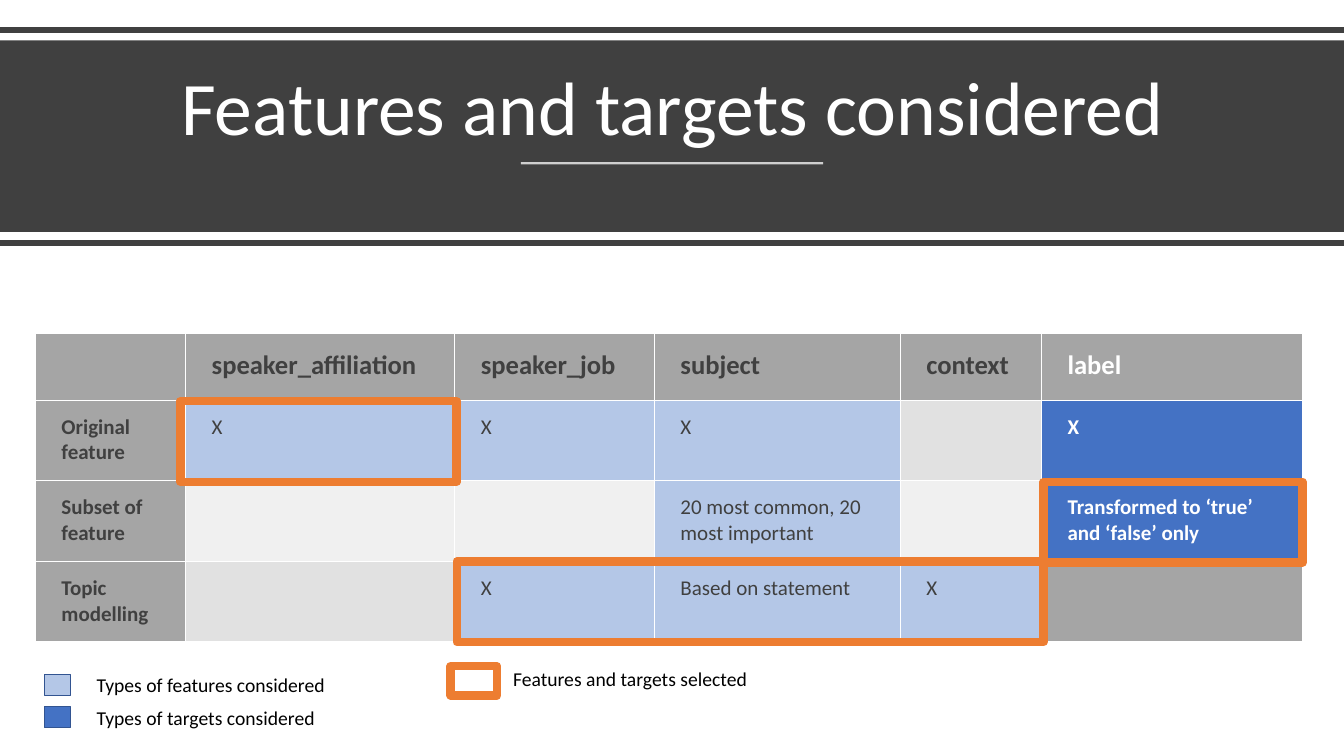
import pptx
import pptx.dml.color
import pptx.enum.shapes
import pptx.enum.text
import pptx.oxml.ns
import pptx.util
from lxml import etree

Inches = pptx.util.Inches
SHAPES = pptx.enum.shapes.MSO_SHAPE
DARK, WHITE, GREY, ORANGE = "404040", "FFFFFF", "A5A5A5", "ED7D31"
FEATURE, TARGET, SWATCH_LINE = "B4C7E7", "4472C4", "325491"
BANDS = ["E1E1E1", "F0F0F0"]
COLUMNS = [1.49, 2.67, 1.98, 2.44, 1.4, 2.59]
HEADER_HEIGHT, ROW_HEIGHT = 0.66, 0.8
ROWS = [
    ["", "speaker_affiliation", "speaker_job", "subject", "context", "label"],
    ["Original feature", "X", "X", "X", "", "X"],
    ["Subset of feature", "", "", "20 most common, 20 most important", "",
     "Transformed to ‘true’ and ‘false’ only"],
    ["Topic modelling", "", "X", "Based on statement", "X", ""],
]
SELECTED = [(4.53, 5.57, 5.82, 0.8), (1.79, 3.98, 2.74, 0.8), (10.35, 4.78, 2.57, 0.8)]


def rgb(value):
    """Return a colour from its hex string."""
    return pptx.dml.color.RGBColor.from_string(value)


def format_text(p, size, color, bold=False):
    """Format every run of a paragraph."""
    for r in p.runs:
        r.font.name = "Calibri"
        r.font.size = pptx.util.Pt(size)
        r.font.bold = bold
        r.font.color.rgb = rgb(color)


def add_rule(s, x, y, width, color, weight, alpha=None):
    """Draw a horizontal line, optionally transparent."""
    line = s.shapes.add_connector(pptx.enum.shapes.MSO_CONNECTOR.STRAIGHT,
                                  Inches(x), Inches(y), Inches(x + width), Inches(y))
    line.line.color.rgb = rgb(color)
    line.line.width = pptx.util.Pt(weight)
    sp_pr = line._element.spPr
    if alpha:
        clr = sp_pr.find(".//" + pptx.oxml.ns.qn("a:srgbClr"))
        etree.SubElement(clr, pptx.oxml.ns.qn("a:alpha"), val=str(alpha * 1000))
    etree.SubElement(sp_pr, pptx.oxml.ns.qn("a:effectLst"))


def add_box(s, box, fill=None, line=None, weight=1):
    """Draw a rectangle with an optional fill and outline."""
    sp = s.shapes.add_shape(SHAPES.RECTANGLE, *map(Inches, box))
    sp.shadow.inherit = False
    if fill:
        sp.fill.solid()
        sp.fill.fore_color.rgb = rgb(fill)
    else:
        sp.fill.background()
    if line:
        sp.line.color.rgb = rgb(line)
        sp.line.width = pptx.util.Pt(weight)
    else:
        sp.line.fill.background()


def add_banner(s, x, y, width, height):
    """Draw the title band with its rules and put the title on it."""
    add_rule(s, x, y - 0.1, width, DARK, 4)
    add_box(s, (x, y, width, height), DARK)
    title = s.shapes.title
    title.left, title.top = Inches(x + 0.58), Inches(y + 0.14)
    title.width, title.height = Inches(width - 1.15), Inches(1.02)
    s.shapes._spTree.append(title._element)
    tf = title.text_frame
    tf.text = "Features and targets considered"
    tf.auto_size = pptx.enum.text.MSO_AUTO_SIZE.NONE
    tf.vertical_anchor = pptx.enum.text.MSO_ANCHOR.BOTTOM
    p = tf.paragraphs[0]
    p.alignment = pptx.enum.text.PP_ALIGN.CENTER
    p.line_spacing = 0.9
    format_text(p, 54, WHITE)
    add_rule(s, x + width / 2 - 1.5, y + 1.22, 3, WHITE, 1.5, 75)
    add_rule(s, x, y + height + 0.11, width, DARK, 4)


def cell_fill(row, column, text):
    """Choose the fill of a table cell from its place and content."""
    is_label = column == len(COLUMNS) - 1
    if row == 0 or column == 0 or (is_label and not text):
        return GREY
    if text:
        return TARGET if is_label else FEATURE
    return BANDS[(row - 1) % 2]


def add_feature_table(s, x, y):
    """Build the table of features and targets."""
    height = HEADER_HEIGHT + ROW_HEIGHT * (len(ROWS) - 1)
    table = s.shapes.add_table(len(ROWS), len(COLUMNS), Inches(x), Inches(y),
                               Inches(sum(COLUMNS)), Inches(height)).table
    for column, width in zip(table.columns, COLUMNS):
        column.width = Inches(width)
    for i, texts in enumerate(ROWS):
        table.rows[i].height = Inches(ROW_HEIGHT if i else HEADER_HEIGHT)
        margin = Inches(0.14 if i else 0.16)
        for j, text in enumerate(texts):
            cell = table.cell(i, j)
            cell.fill.solid()
            cell.fill.fore_color.rgb = rgb(cell_fill(i, j, text))
            if not text:
                continue
            cell.margin_left = Inches(0.26)
            cell.margin_top = cell.margin_right = cell.margin_bottom = margin
            cell.text = text
            is_label = j == len(COLUMNS) - 1
            format_text(cell.text_frame.paragraphs[0], 15 if i else 19,
                        WHITE if is_label else DARK, i == 0 or j == 0 or is_label)


def add_legend_entry(s, swatch, text_box, text, fill, line, weight):
    """Draw one legend swatch with its caption."""
    add_box(s, swatch, fill, line, weight)
    tf = s.shapes.add_textbox(*map(Inches, text_box)).text_frame
    tf.word_wrap = False
    tf.text = text
    format_text(tf.paragraphs[0], 14, "000000")


def add_legend(s, x, y):
    """Draw the legend below the table."""
    entries = [("Types of features considered", FEATURE),
               ("Types of targets considered", TARGET)]
    for i, (text, fill) in enumerate(entries):
        top = y + 0.32 * i
        add_legend_entry(s, (x, top, 0.26, 0.21), (x + 0.42, top - 0.06, 2.52, 0.34),
                         text, fill, SWATCH_LINE, 1)
    add_legend_entry(s, (x + 4.03, y - 0.08, 0.46, 0.29), (x + 4.55, y - 0.12, 2.55, 0.34),
                     "Features and targets selected", None, ORANGE, 6)


def main():
    """Build and save the slide."""
    prs = pptx.Presentation()
    prs.slide_width, prs.slide_height = Inches(13.33), Inches(7.5)
    s = prs.slides.add_slide(prs.slide_layouts[5])
    add_banner(s, 0, 0.4, 13.33, 1.9)
    add_feature_table(s, 0.35, 3.31)
    for box in SELECTED:
        add_box(s, box, line=ORANGE, weight=6)
    add_legend(s, 0.44, 6.69)
    prs.save("out.pptx")


if __name__ == "__main__":
    main()
